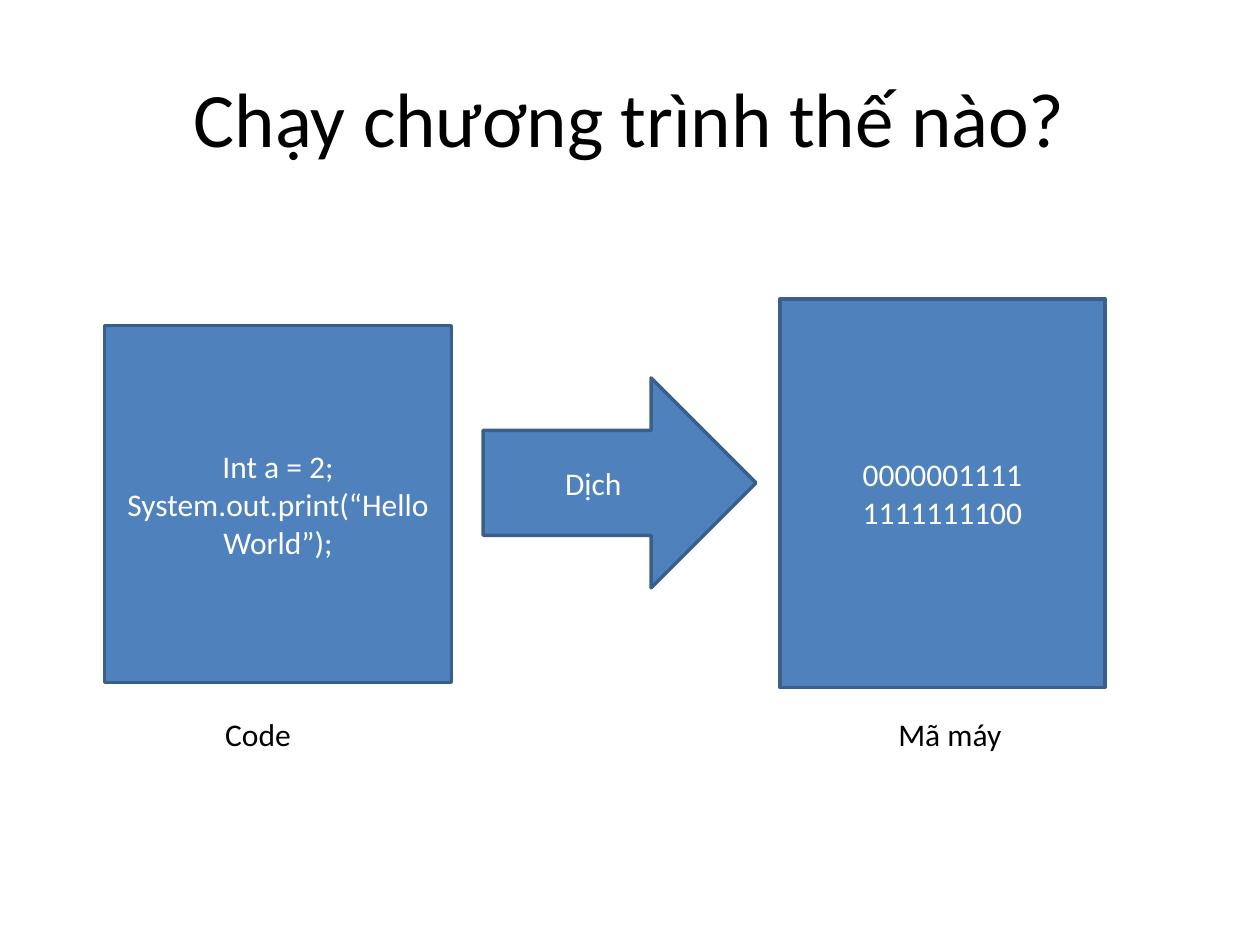
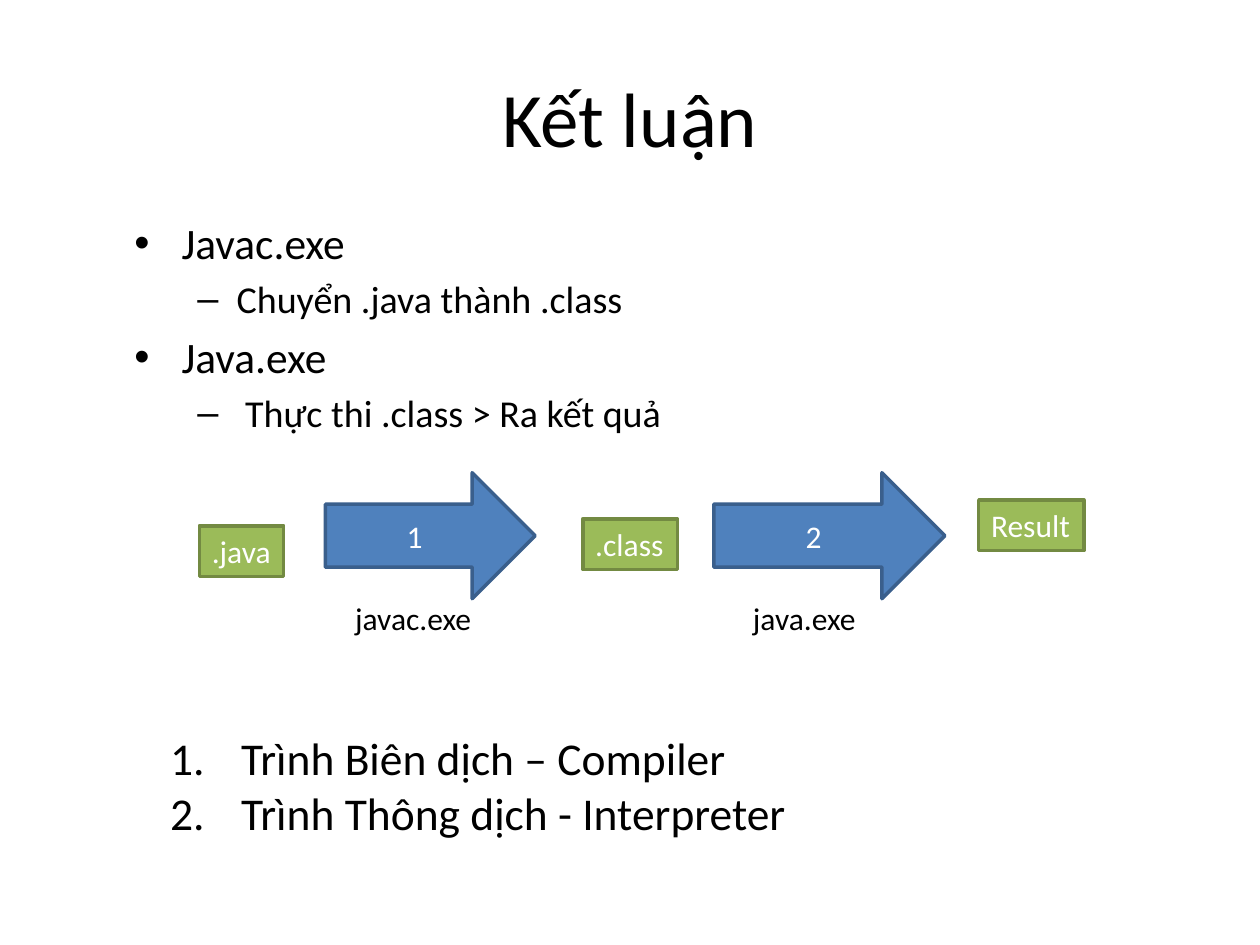
from lxml import etree
from pptx import Presentation
from pptx import util as u
from pptx.dml.color import RGBColor
from pptx.enum import shapes, text
from pptx.oxml import ns

BLUE = ("4F81BD", "3A5F8C")
GREEN = ("9BBB59", "738A42")
LINE_HEIGHT = 1.02


def color(hex_value):
    return RGBColor.from_string(hex_value)


def place(left, top, width, height):
    return [u.Cm(length) for length in (left, top, width, height)]


class Deck:
    font = "Calibri"
    ink = "000000"
    paper = "FFFFFF"
    body_size = 18

    def __init__(self):
        self.presentation = Presentation()
        self.presentation.slide_width = u.Cm(25.4)
        self.presentation.slide_height = u.Cm(19.05)
        self.slide = None

    def style(self, paragraph, size, ink):
        for run in paragraph.runs:
            run.font.size = u.Pt(size)
            run.font.name = self.font
            run.font.color.rgb = color(ink)

    def set_text(self, frame, content, size, ink, align, anchor):
        frame.text = content
        frame.vertical_anchor = anchor
        for paragraph in frame.paragraphs:
            paragraph.alignment = align
            self.style(paragraph, size, ink)

    def fit(self, frame):
        frame.word_wrap = False
        frame.auto_size = text.MSO_AUTO_SIZE.SHAPE_TO_FIT_TEXT

    def add_slide(self, heading):
        self.slide = self.presentation.slides.add_slide(self.presentation.slide_layouts[5])
        title = self.slide.shapes.title
        title.left, title.top, title.width, title.height = place(1.27, 0.76, 22.86, 3.18)
        self.set_text(title.text_frame, heading, 44, self.ink,
                      text.PP_ALIGN.CENTER, text.MSO_ANCHOR.MIDDLE)

    def block(self, kind, content, box, colors):
        block = self.slide.shapes.add_shape(kind, *place(*box))
        block.shadow.inherit = False
        fill, outline = colors
        block.fill.solid()
        block.fill.fore_color.rgb = color(fill)
        block.line.color.rgb = color(outline)
        block.line.width = u.Pt(2)
        self.set_text(block.text_frame, content, self.body_size, self.paper,
                      text.PP_ALIGN.CENTER, text.MSO_ANCHOR.MIDDLE)
        return block

    def panel(self, content, *box):
        self.block(shapes.MSO_SHAPE.RECTANGLE, content, box, BLUE)

    def arrow(self, content, *box):
        self.block(shapes.MSO_SHAPE.RIGHT_ARROW, content, box, BLUE)

    def tag(self, content, left, top, width):
        box = (left, top, width, LINE_HEIGHT)
        frame = self.block(shapes.MSO_SHAPE.RECTANGLE, content, box, GREEN).text_frame
        frame.vertical_anchor = text.MSO_ANCHOR.TOP
        frame.paragraphs[0].alignment = text.PP_ALIGN.LEFT
        self.fit(frame)

    def caption(self, content, left, top, width):
        frame = self.slide.shapes.add_textbox(*place(left, top, width, LINE_HEIGHT)).text_frame
        self.set_text(frame, content, self.body_size, self.ink,
                      text.PP_ALIGN.LEFT, text.MSO_ANCHOR.TOP)
        self.fit(frame)

    def mark(self, paragraph, margin, hanging, kind, **attributes):
        properties = paragraph._p.get_or_add_pPr()
        properties.set("marL", str(u.Cm(margin)))
        properties.set("indent", str(-u.Cm(hanging)))
        typeface = "Arial" if kind == "a:buChar" else "+mj-lt"
        etree.SubElement(properties, ns.qn("a:buFont"), typeface=typeface)
        etree.SubElement(properties, ns.qn(kind), **attributes)

    def bullets(self, items, *box):
        frame = self.slide.shapes.add_textbox(*place(*box)).text_frame
        frame.word_wrap = True
        frame.text = "\n".join(content for _, content in items)
        levels = [(0.95, 0.95, "•", 24.8), (2.06, 0.79, "–", 21.7)]
        for index, (paragraph, (level, _)) in enumerate(zip(frame.paragraphs, items)):
            margin, hanging, symbol, size = levels[level]
            self.mark(paragraph, margin, hanging, "a:buChar", char=symbol)
            paragraph.level = level
            if index:
                paragraph.space_before = u.Pt(round(size * 0.2, 1))
            self.style(paragraph, size, self.ink)

    def numbered(self, items, *box):
        frame = self.slide.shapes.add_textbox(*place(*box)).text_frame
        frame.text = "\n".join(items)
        for paragraph in frame.paragraphs:
            self.mark(paragraph, 1.43, 1.43, "a:buAutoNum", type="arabicPeriod")
            self.style(paragraph, 26, self.ink)
        self.fit(frame)


def add_translation(deck):
    deck.add_slide("Chạy chương trình thế nào?")
    deck.arrow("Dịch", 9.74, 7.62, 5.5, 4.23)
    deck.panel("0000001111\n1111111100", 15.72, 6.03, 6.56, 7.83)
    deck.panel("Int a = 2;\nSystem.out.print(“HelloWorld”);", 2.11, 6.56, 6.99, 7.2)
    caption_top = 14.29
    deck.caption("Mã máy", 17.86, caption_top, 2.62)
    deck.caption("Code", 4.29, caption_top, 1.85)


def add_conclusion(deck):
    deck.add_slide("Kết luận")
    deck.bullets([
        (0, "Javac.exe"),
        (1, "Chuyển .java thành .class"),
        (0, "Java.exe"),
        (1, " Thực thi .class > Ra kết quả"),
    ], 2.46, 4.23, 19.76, 4.23)
    deck.numbered(["Trình Biên dịch – Compiler", "Trình Thông dịch - Interpreter"],
                  3.18, 14.6, 13.03, 2.48)
    for stage, left, top, width in [(".java", 4.02, 10.6, 1.7),
                                    (".class", 11.75, 10.46, 1.91),
                                    ("Result", 19.73, 10.08, 2.12)]:
        deck.tag(stage, left, top, width)
    for step, left, width, tool, tool_left, tool_width in [
            ("1", 6.56, 4.23, "javac.exe", 6.91, 2.87),
            ("2", 14.39, 4.66, "java.exe", 14.93, 2.58)]:
        deck.arrow(step, left, 9.53, width, 2.54)
        deck.caption(tool, tool_left, 11.96, tool_width)


def main():
    deck = Deck()
    add_translation(deck)
    add_conclusion(deck)
    deck.presentation.save("out.pptx")


if __name__ == "__main__":
    main()
